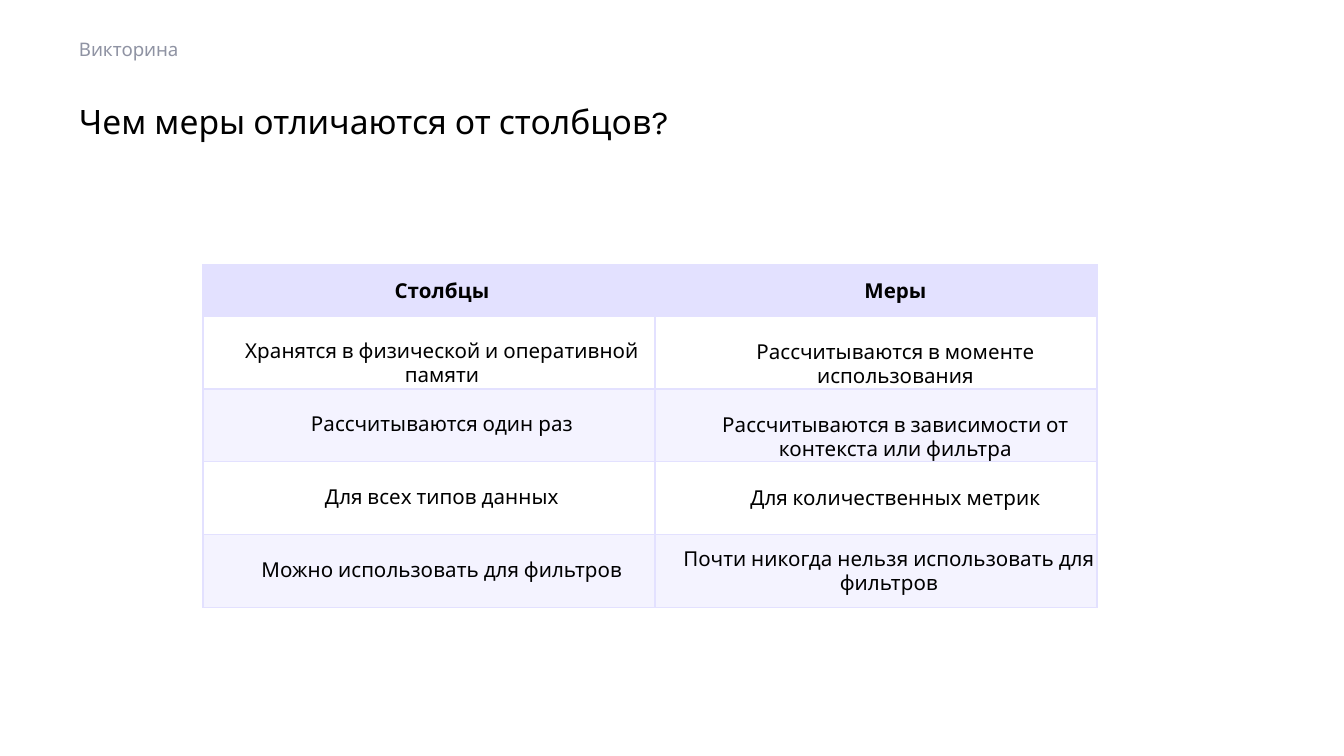
import pptx
import pptx.util
import pptx.dml.color
import pptx.enum.text
import pptx.oxml
import pptx.oxml.ns

SECTION = "Викторина"
TITLE = "Чем меры отличаются от столбцов?"
ROWS = [
    ("Столбцы", "Меры"),
    ("Хранятся в физической и оперативной памяти", "Рассчитываются в моменте использования"),
    ("Рассчитываются один раз", "Рассчитываются в зависимости от контекста или фильтра"),
    ("Для всех типов данных", "Для количественных метрик"),
    ("Можно использовать для фильтров", "Почти никогда нельзя использовать для фильтров"),
]
THEME = {
    "font": "Karla", "ink": "000000", "muted": "8F93A3", "lilac": "E3E1FF",
    "title": 18, "section": 10, "table": 11, "border": 0.75, "band_alpha": 38,
}
SLIDE = (1344, 756)
TITLE_BOX = (79, 106, 1185, 35)
SECTION_BOX = (79, 23, 876, 52)
TABLE_ORIGIN = (203, 265)
COLUMNS = (452, 442)
HEADER_HEIGHT, ROW_HEIGHT = 51, 73
TEXT_DROP = 24
NARROW_INDENT, WIDE_INDENT = 26, 39

ALIGN = pptx.enum.text.PP_ALIGN
ANCHOR = pptx.enum.text.MSO_ANCHOR


def px(length):
    return round(length * 914400 / 134.4)


def apply(target, values):
    for name, value in values.items():
        setattr(target, name, value)


def write(frame, text, size, color, bold=False, **paragraph_format):
    para = frame.paragraphs[0]
    apply(para, {"space_before": pptx.util.Pt(0), **paragraph_format})
    span = para.add_run()
    apply(span, {"text": text})
    apply(span.font, {"name": THEME["font"], "size": pptx.util.Pt(size), "bold": bold})
    span.font.color.rgb = pptx.dml.color.RGBColor.from_string(color)
    return para


def fill_placeholder(box, place, text, size, color, anchor, inset, spacing):
    apply(box, dict(zip(("left", "top", "width", "height"), map(px, place))))
    apply(box.text_frame, {
        "word_wrap": True, "vertical_anchor": anchor, "margin_left": 0,
        "margin_right": 0, "margin_top": px(inset), "margin_bottom": px(inset),
        "auto_size": pptx.enum.text.MSO_AUTO_SIZE.NONE,
    })
    write(box.text_frame, text, size, color, alignment=ALIGN.LEFT, line_spacing=spacing)


def draw_borders(cell):
    properties = cell._tc.get_or_add_tcPr()
    width = pptx.util.Pt(THEME["border"])
    for side in ("lnL", "lnR", "lnT", "lnB"):
        properties.append(pptx.oxml.parse_xml(
            f'<a:{side} {pptx.oxml.ns.nsdecls("a")} w="{width}"><a:solidFill>'
            f'<a:srgbClr val="{THEME["lilac"]}"/></a:solidFill></a:{side}>'))


def paint_cell(cell, row):
    if row % 2 and row > 0:
        cell.fill.background()
        return
    cell.fill.solid()
    cell.fill.fore_color.rgb = pptx.dml.color.RGBColor.from_string(THEME["lilac"])
    if row:
        color = cell._tc.tcPr.find(
            pptx.oxml.ns.qn("a:solidFill")).find(pptx.oxml.ns.qn("a:srgbClr"))
        color.append(pptx.oxml.parse_xml(
            f'<a:alpha {pptx.oxml.ns.nsdecls("a")} val="{THEME["band_alpha"] * 1000}"/>'))


def fill_cell(cell, row, column, text):
    header = row == 0
    dropped = not header and (column == 0 or row < 3)
    last_cell = row == len(ROWS) - 1 and column == 1
    top = 3 if header else TEXT_DROP if dropped else 0
    apply(cell, {
        "margin_left": 0, "margin_right": 0, "margin_top": px(top), "margin_bottom": 0,
        "vertical_anchor": ANCHOR.MIDDLE if header or column else ANCHOR.TOP,
    })
    draw_borders(cell)
    paint_cell(cell, row)
    para = write(cell.text_frame, text, THEME["table"], THEME["ink"],
                 bold=header, alignment=ALIGN.CENTER)
    indent = NARROW_INDENT if column == 0 or last_cell else WIDE_INDENT
    para._p.get_or_add_pPr().set("marL", str(px(indent)))


def add_comparison(page):
    heights = [HEADER_HEIGHT] + [ROW_HEIGHT] * (len(ROWS) - 1)
    place = (*TABLE_ORIGIN, sum(COLUMNS), sum(heights))
    table = page.shapes.add_table(len(ROWS), len(COLUMNS), *map(px, place)).table
    apply(table, {"first_row": False, "horz_banding": False})
    for column, width in zip(table.columns, COLUMNS):
        column.width = px(width)
    for row, height in zip(table.rows, heights):
        row.height = px(height)
    for row, texts in enumerate(ROWS):
        for column, text in enumerate(texts):
            fill_cell(table.cell(row, column), row, column, text)


def main():
    deck = pptx.Presentation()
    apply(deck, dict(zip(("slide_width", "slide_height"), map(px, SLIDE))))
    page = deck.slides.add_slide(deck.slide_layouts[0])
    fill_placeholder(page.shapes.title, TITLE_BOX, TITLE, THEME["title"],
                     THEME["ink"], ANCHOR.BOTTOM, 0, 0.85)
    fill_placeholder(page.placeholders[1], SECTION_BOX, SECTION, THEME["section"],
                     THEME["muted"], ANCHOR.MIDDLE, 5, 1.0)
    add_comparison(page)
    deck.save("out.pptx")


if __name__ == "__main__":
    main()
